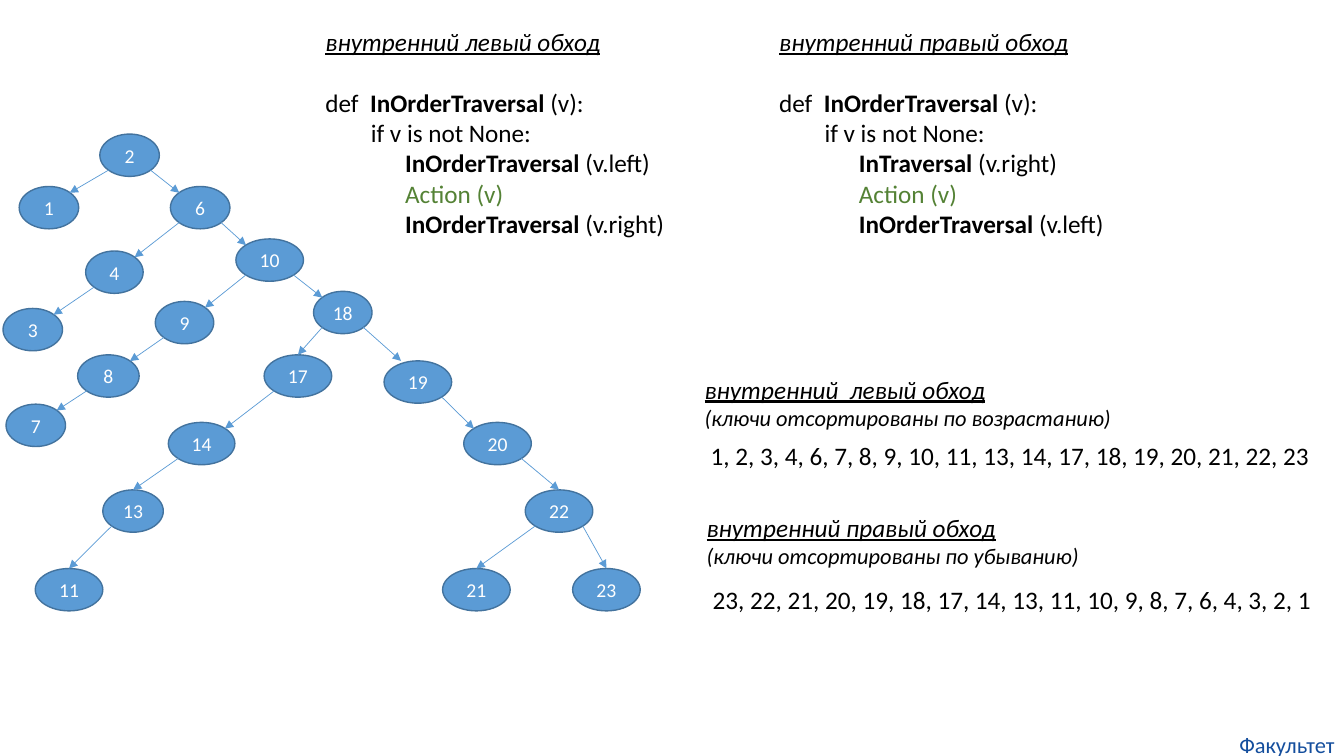
from lxml import etree
from pptx import Presentation
from pptx.dml.color import RGBColor
from pptx.enum.shapes import MSO_CONNECTOR, MSO_SHAPE
from pptx.enum.text import MSO_ANCHOR, PP_ALIGN
from pptx.oxml.ns import qn
from pptx.util import Pt

PX = 9144  # 100 px to the inch
OVAL, LINE = MSO_SHAPE.OVAL, MSO_CONNECTOR.STRAIGHT
MIDDLE, CENTER, LEFT = MSO_ANCHOR.MIDDLE, PP_ALIGN.CENTER, PP_ALIGN.LEFT
BLUE, EDGE, GREEN, NAVY = "5B9BD5", "43739E", "548235", "144E9D"
BLACK, WHITE = "000000", "FFFFFF"
HIGH = 42
NEAR, FAR = 0.15, 0.85  # where a diagonal meets the oval, as a share of its box
CORNER, TOP, QUARTER = "corner", "top", "quarter"
HEAD = {"size": 18, "italic": True, "underline": True}
NOTE = {"size": 16, "italic": True}
BOLD = {"bold": True}

# key: left, top, width, parent, where the arrow lands
NODES = {
    2: (96, 0, 59, None, None),
    1: (16, 52, 59, 2, CORNER),
    6: (166, 52, 59, 2, CORNER),
    4: (82, 116, 57, 6, CORNER),
    10: (231, 104, 67, 6, CORNER),
    3: (0, 173, 59, 4, CORNER),
    9: (151, 166, 58, 10, CORNER),
    18: (308, 156, 58, 10, CORNER),
    8: (74, 219, 61, 9, CORNER),
    7: (3, 268, 59, 8, CORNER),
    17: (259, 219, 67, 18, TOP),
    19: (378, 225, 67, 18, QUARTER),
    14: (164, 286, 66, 17, CORNER),
    20: (457, 286, 67, 19, CORNER),
    13: (99, 353, 60, 14, TOP),
    22: (518, 353, 67, 20, TOP),
    11: (32, 431, 67, 13, TOP),
    21: (436, 431, 67, 22, TOP),
    23: (565, 431, 67, 22, TOP),
}


def px(*vals):
    return [round(v * PX) for v in vals]


def color(code):
    return RGBColor.from_string(code)


def write(par, runs, tint=BLACK):
    """Add (text, format) runs to a paragraph."""
    for text, form in runs:
        run = par.add_run()
        run.text = text
        font = run.font
        font.color.rgb = color(form.get("tint", tint))
        for name, val in {"name": "Calibri", "size": 18, **form}.items():
            if name != "tint":
                setattr(font, name, Pt(val) if name == "size" else val)


def label(slide, box, rows, align=LEFT, inset=None):
    """Place a text box; each row is (runs, indent px, points before)."""
    frame = slide.shapes.add_textbox(*px(*box)).text_frame
    frame.word_wrap = True
    if inset is not None:
        for side in ("left", "top", "right", "bottom"):
            setattr(frame, "margin_" + side, inset)
    for i, (runs, indent, before) in enumerate(rows):
        par = frame.add_paragraph() if i else frame.paragraphs[0]
        par.alignment = align
        par.space_before = Pt(before)
        if indent:
            par._p.get_or_add_pPr().set("marL", str(*px(indent)))
        write(par, runs)


def node(slide, box, key):
    oval = slide.shapes.add_shape(OVAL, *px(*box))
    oval.shadow.inherit = False
    oval.fill.solid()
    oval.fill.fore_color.rgb = color(BLUE)
    oval.line.color.rgb = color(EDGE)
    oval.line.width = Pt(1)
    frame = oval.text_frame
    frame.vertical_anchor = MIDDLE
    par = frame.paragraphs[0]
    par.alignment = CENTER
    write(par, [(str(key), {"size": 14})], WHITE)
    return oval


def spot(oval, across, down):
    return (round(oval.left + oval.width * across),
            round(oval.top + oval.height * down))


def arrow(slide, par, kid, aim):
    left = kid.left < par.left
    start = spot(par, NEAR if left else FAR, FAR)
    ends = {CORNER: (FAR if left else NEAR, NEAR),
            TOP: (0.5, 0), QUARTER: (0.25, 0)}
    line = slide.shapes.add_connector(LINE, *start, *spot(kid, *ends[aim]))
    if aim == TOP:
        line.end_connect(kid, 0)
    line.line.color.rgb = color(BLUE)
    line.line.width = Pt(0.5)
    etree.SubElement(line.line._get_or_add_ln(), qn("a:tailEnd"), type="triangle")
    etree.SubElement(line._element.spPr, qn("a:effectLst"))


def tree(slide, x, y):
    ovals = {key: node(slide, (x + dx, y + dy, wide, HIGH), key)
             for key, (dx, dy, wide, _, _) in NODES.items()}
    for key, (*_, par, aim) in NODES.items():
        if par:
            arrow(slide, ovals[par], ovals[key], aim)


def code(slide, x, y, title, first, last):
    """Place one listing: first and last are (name, argument) calls."""
    def call(name, arg):
        return [(name + " ", BOLD), (arg, {})]

    label(slide, (x, y, 377, 313), [
        ([(title, HEAD)], 0, 0),
        ([("def  ", {})] + call("InOrderTraversal", "(v):"), 0, 22),
        ([("if v is not None:", {})], 45, 0),
        (call(*first), 79, 0),
        ([("Action (v)", {"tint": GREEN})], 79, 0),
        (call(*last), 79, 0),
    ])


def result(slide, x, y, title, note, keys, drop):
    label(slide, (x, y, 500, 67), [([(title, HEAD)], 0, 0), ([(note, NOTE)], 0, 0)])
    label(slide, (x + 6, y + drop, 622, 40),
          [([(", ".join(map(str, keys)), {})], 0, 0)])


def main():
    deck = Presentation()
    deck.slide_width, deck.slide_height = px(1333, 750)
    slide = deck.slides.add_slide(deck.slide_layouts[6])
    tree(slide, 3, 133)
    code(slide, 313, 21, "внутренний левый обход",
         ("InOrderTraversal", "(v.left)"), ("InOrderTraversal", "(v.right)"))
    code(slide, 763, 21, "внутренний правый обход",
         ("InTraversal", "(v.right)"), ("InOrderTraversal", "(v.left)"))
    keys = sorted(NODES)
    result(slide, 689, 366, "внутренний  левый обход",
           "(ключи отсортированы по возрастанию)", keys, 66)
    result(slide, 691, 503, "внутренний правый обход",
           "(ключи отсортированы по убыванию)", keys[::-1], 72)
    label(slide, (1220, 725, 113, 27),
          [([("Факультет", {"size": 16, "tint": NAVY})], 0, 0)], CENTER, 0)
    deck.save("out.pptx")


if __name__ == "__main__":
    main()
